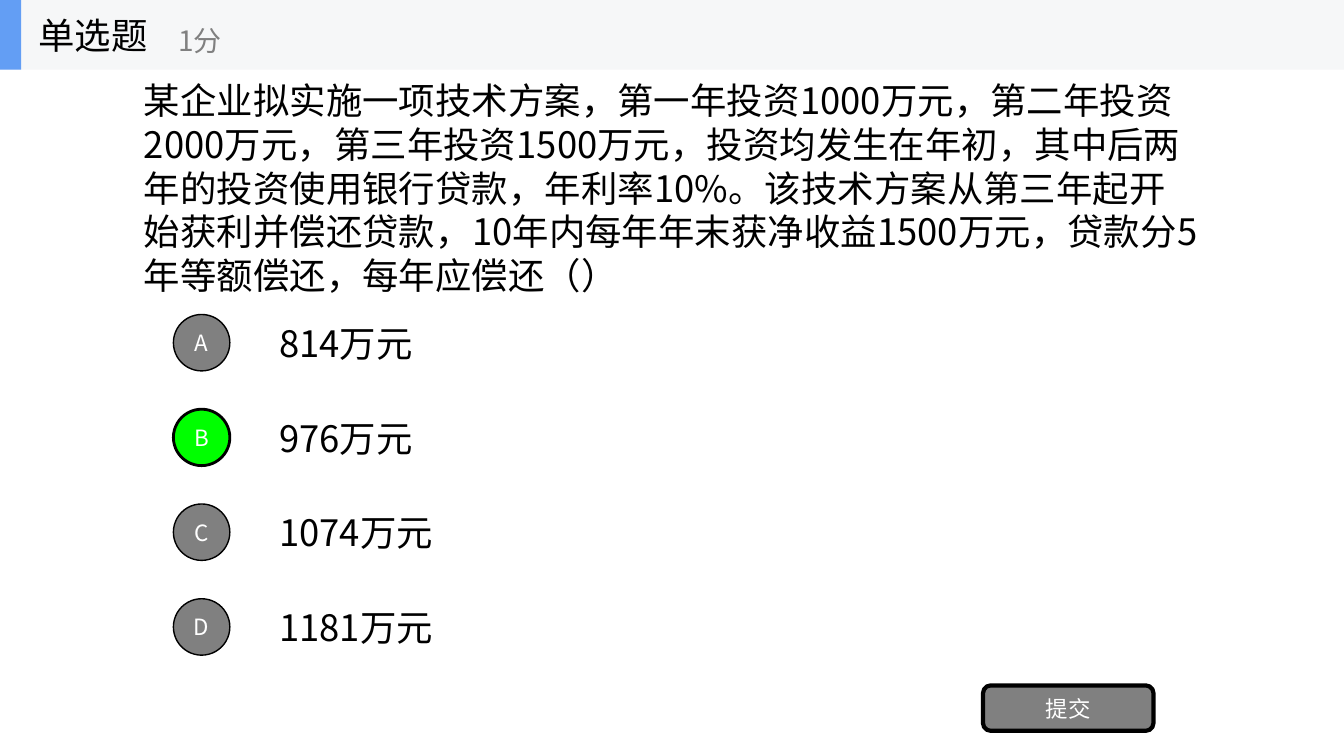
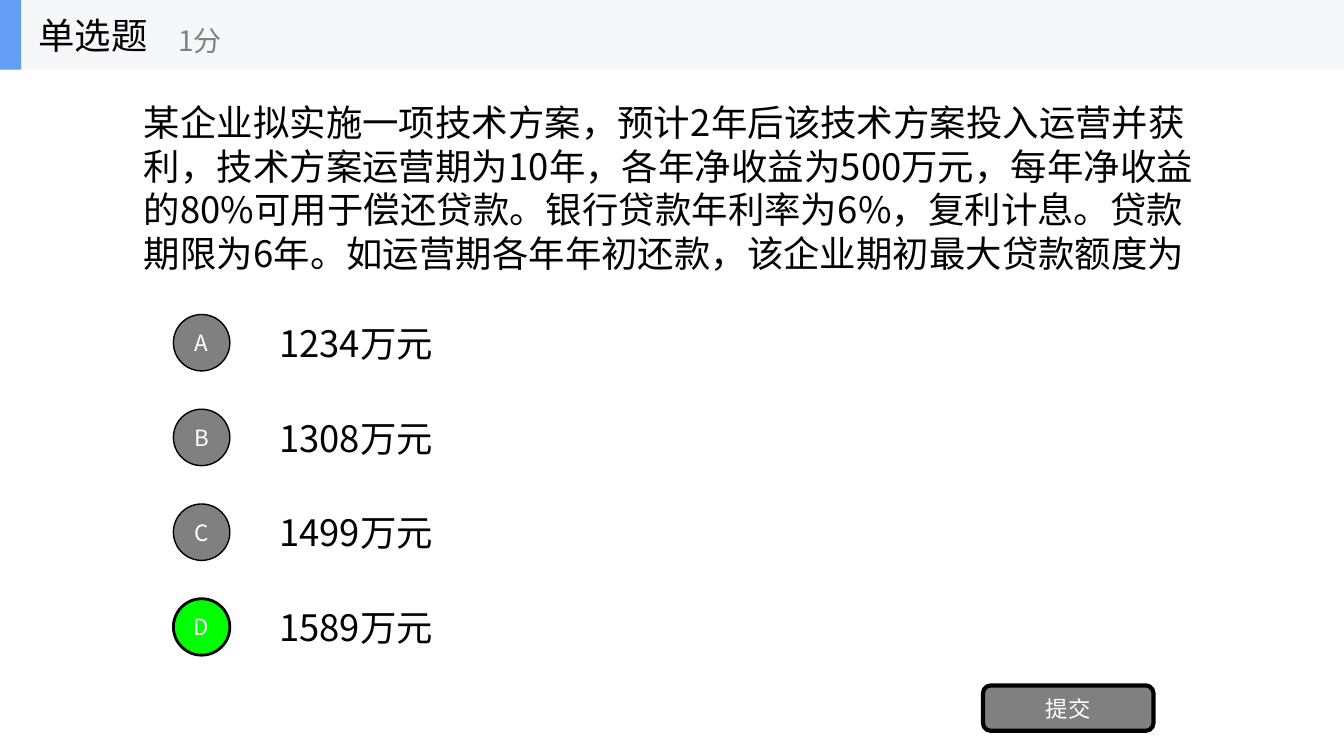
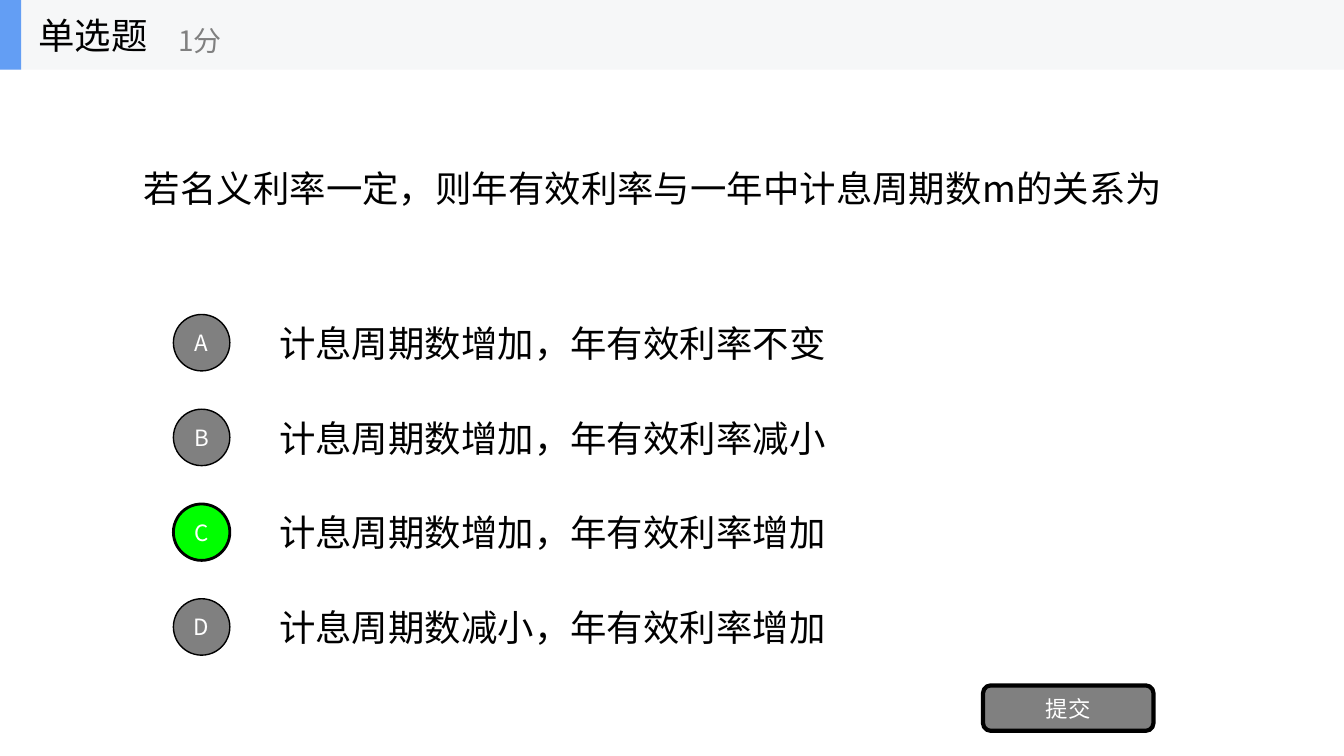
from lxml.etree import SubElement
from pptx import Presentation
from pptx.dml.color import RGBColor
from pptx.enum.shapes import MSO_SHAPE
from pptx.enum.text import MSO_ANCHOR, PP_ALIGN
from pptx.oxml.ns import qn
from pptx.util import Inches, Pt

FONT = "Noto Sans CJK SC"
BLACK = RGBColor(0x00, 0x00, 0x00)
WHITE = RGBColor(0xFF, 0xFF, 0xFF)
GRAY = RGBColor(0x80, 0x80, 0x80)
GREEN = RGBColor(0x00, 0xFF, 0x00)
BLUE = RGBColor(0x63, 0x9E, 0xF4)
BAND_GRAY = RGBColor(0xF6, 0xF7, 0xF8)

SLIDE_WIDTH = 13.33
BAND_HEIGHT = 0.69
OPTION_TOP, OPTION_STEP, OPTION_HEIGHT = 3.05, 0.94, 0.7
BADGE_SIZE = 0.56

# Question, its four options, letter of the right answer
QUESTIONS = [
    (
        "某企业拟实施一项技术方案，第一年投资1000万元，第二年投资2000万元，"
        "第三年投资1500万元，投资均发生在年初，其中后两年的投资使用银行贷款，"
        "年利率10%。该技术方案从第三年起开始获利并偿还贷款，"
        "10年内每年年末获净收益1500万元，贷款分5年等额偿还，每年应偿还（）",
        ["814万元", "976万元", "1074万元", "1181万元"],
        "B",
    ),
    (
        "某企业拟实施一项技术方案，预计2年后该技术方案投入运营并获利，"
        "技术方案运营期为10年，各年净收益为500万元，每年净收益的80%可用于偿还贷款。"
        "银行贷款年利率为6%，复利计息。贷款期限为6年。"
        "如运营期各年年初还款，该企业期初最大贷款额度为",
        ["1234万元", "1308万元", "1499万元", "1589万元"],
        "D",
    ),
    (
        "若名义利率一定，则年有效利率与一年中计息周期数m的关系为",
        [
            "计息周期数增加，年有效利率不变",
            "计息周期数增加，年有效利率减小",
            "计息周期数增加，年有效利率增加",
            "计息周期数减小，年有效利率增加",
        ],
        "C",
    ),
]


def write(holder, text, size, color=BLACK, align=PP_ALIGN.LEFT):
    frame = holder.text_frame
    frame.word_wrap = True
    frame.vertical_anchor = MSO_ANCHOR.MIDDLE
    paragraph = frame.paragraphs[0]
    paragraph.alignment = align
    run = paragraph.add_run()
    run.text = text
    run.font.color.rgb = color
    for attribute, value in {"size": Pt(size), "name": FONT, "bold": False}.items():
        setattr(run.font, attribute, value)
    # East Asian glyphs take their typeface from a:ea
    SubElement(run._r.get_or_add_rPr(), qn("a:ea"), typeface=FONT)


def add_filled(slide, preset, box, fill, line_width=0):
    shape = slide.shapes.add_shape(preset, *map(Inches, box))
    shape.shadow.inherit = False
    shape.fill.solid()
    shape.fill.fore_color.rgb = fill
    if line_width:
        shape.line.color.rgb = BLACK
        shape.line.width = Pt(line_width)
    else:
        shape.line.fill.background()
    return shape


prs = Presentation()
prs.slide_width = Inches(SLIDE_WIDTH)
prs.slide_height = Inches(7.5)

for question, options, answer in QUESTIONS:
    slide = prs.slides.add_slide(prs.slide_layouts[5])

    for width, color in [(SLIDE_WIDTH, BAND_GRAY), (0.21, BLUE)]:
        add_filled(slide, MSO_SHAPE.RECTANGLE, (0, 0, width, BAND_HEIGHT), color)

    title = slide.shapes.title
    title_box = {"left": 0.28, "top": 0, "width": 2.08, "height": BAND_HEIGHT}
    for attribute, value in title_box.items():
        setattr(title, attribute, Inches(value))
    write(title, "单选题", 26)
    # The title stands in front of the band
    slide.shapes._spTree.append(title._element)

    texts = [
        ((1.67, 0.12, 2.5, 0.56), "1分", 20, GRAY),
        ((1.33, BAND_HEIGHT, 10.67, 2.34), question, 26, BLACK),
    ]
    for row, option in enumerate(options):
        top = OPTION_TOP + row * OPTION_STEP
        texts.append(((2.67, top, 9.33, OPTION_HEIGHT), option, 26, BLACK))
    for box, text, size, color in texts:
        write(slide.shapes.add_textbox(*map(Inches, box)), text, size, color)

    for row, letter in enumerate("ABCD"):
        top = OPTION_TOP + row * OPTION_STEP + (OPTION_HEIGHT - BADGE_SIZE) / 2
        fill, line_width = (GREEN, 2) if letter == answer else (GRAY, 1)
        badge = add_filled(
            slide, MSO_SHAPE.OVAL, (1.72, top, BADGE_SIZE, BADGE_SIZE), fill, line_width
        )
        write(badge, letter, 16, WHITE, PP_ALIGN.CENTER)

    submit = add_filled(
        slide, MSO_SHAPE.ROUNDED_RECTANGLE, (9.75, 6.8, 1.69, 0.45), GRAY, 3
    )
    write(submit, "提交", 16, WHITE, PP_ALIGN.CENTER)

prs.save("out.pptx")
